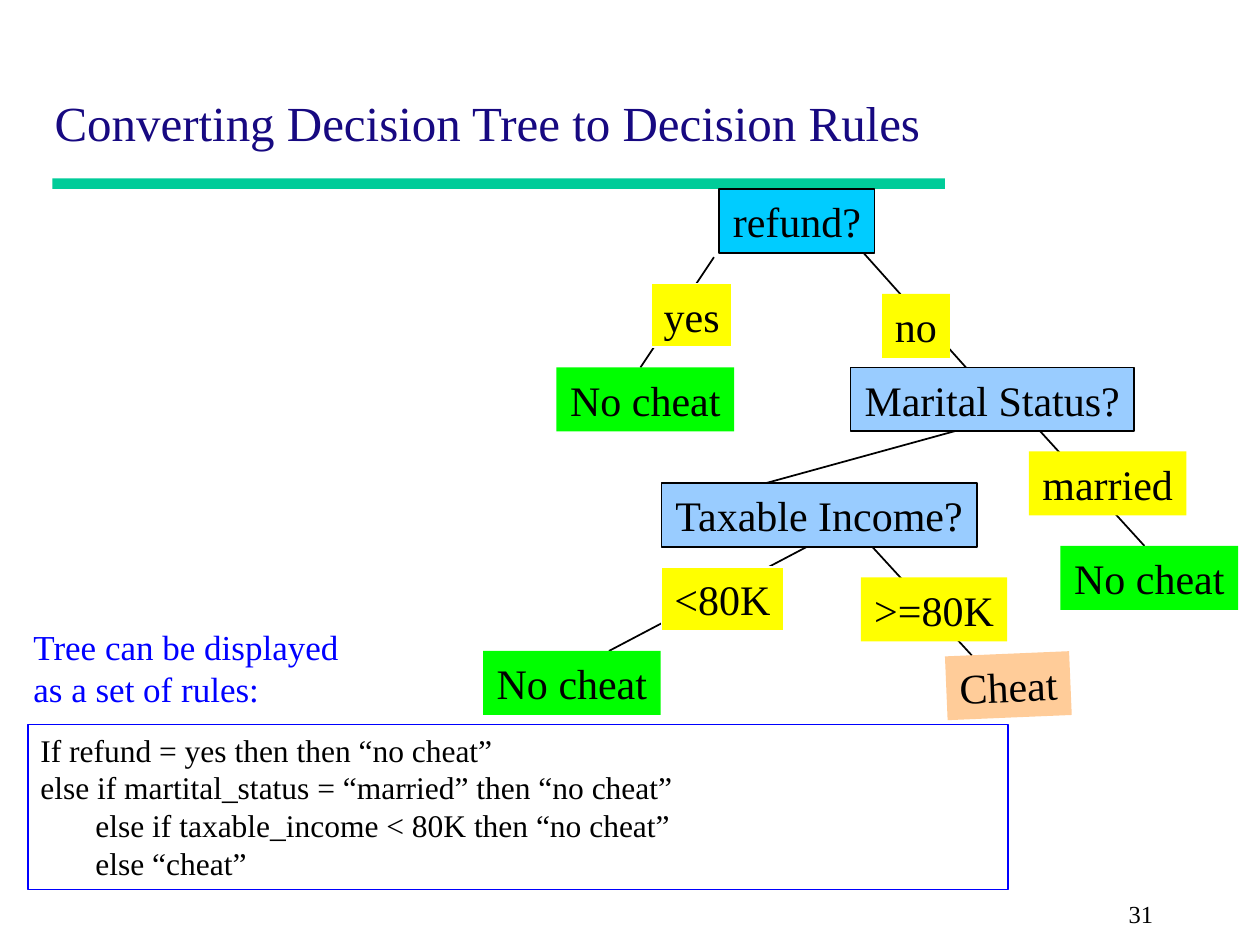
from pptx import Presentation
from pptx.dml.color import RGBColor
from pptx.enum.shapes import MSO_CONNECTOR, MSO_SHAPE
from pptx.enum.text import MSO_ANCHOR, PP_ALIGN
from pptx.oxml import parse_xml
from pptx.oxml.ns import nsdecls
from pptx.util import Pt

THEME = {
    "font": "Times New Roman",
    "sizes": {"title": 28, "node": 24, "caption": 20, "rules": 18, "page": 14},
    "colors": {"title": "170981", "bar": "00CC99", "text": "000000", "accent": "0000FF"},
    # kind of node: (fill, outline)
    "nodes": {
        "root": ("00CCFF", "000000"),
        "test": ("99CCFF", "000000"),
        "answer": ("FFFF00", None),
        "edged answer": ("FFFF00", "FFFFFF"),
        "no": ("00FF00", None),
        "yes": ("FFCC99", None),
    },
}

TITLE = "Converting Decision Tree to Decision Rules"
CAPTION = "Tree can be displayed as a set of rules:"
PAGE = "31"
# (indent level, rule)
RULES = [
    (0, "If refund = yes then then “no cheat”"),
    (0, "else if martital_status = “married” then “no cheat”"),
    (1, "else if taxable_income < 80K then “no cheat”"),
    (1, "else “cheat”"),
]
RULE_INDENT = 31.5

# (text, kind, left, top, width, rotation)
NODE_HEIGHT = 36.5
NODES = [
    ("refund?", "root", 411, 108, 88.8, 0),
    ("Marital Status?", "test", 486, 210, 162, 0),
    ("yes", "edged answer", 372, 162, 46.5, 0),
    ("no", "answer", 504, 168, 38.8, 0),
    ("No cheat", "no", 606, 312, 101.5, 0),
    ("Cheat", "yes", 540.7, 373.6, 71, -2.4),
    ("married", "answer", 588, 258, 90, 0),
    (">=80K", "answer", 492, 330, 83.5, 0),
    ("No cheat", "no", 318, 210, 101.5, 0),
    ("Taxable Income?", "test", 378, 276, 180.2, 0),
    ("No cheat", "no", 276, 372, 101.5, 0),
    ("<80K", "edged answer", 378, 324, 69.8, 0),
]
# (from x, from y, to x, to y)
BRANCHES = [
    (408, 147, 366, 210),
    (493, 144, 552, 210),
    (547, 246, 438, 276),
    (594, 246, 654, 312),
    (462, 312, 348, 372),
    (498, 312, 564, 384),
]


def rgb(code):
    return RGBColor.from_string(code)


def style(paragraph, role, color="text", align=PP_ALIGN.LEFT):
    paragraph.alignment = align
    font = paragraph.font
    font.name = THEME["font"]
    font.size = Pt(THEME["sizes"][role])
    font.color.rgb = rgb(THEME["colors"][color])


def add_box(slide, box, fill=None, outline=None, weight=1):
    shape = slide.shapes.add_shape(MSO_SHAPE.RECTANGLE, *map(Pt, box))
    shape.shadow.inherit = False
    if fill:
        shape.fill.solid()
        shape.fill.fore_color.rgb = rgb(fill)
    else:
        shape.fill.background()
    if outline:
        shape.line.color.rgb = rgb(outline)
        shape.line.width = Pt(weight)
    else:
        shape.line.fill.background()
    return shape


def add_label(slide, text, box, role, color="text", align=PP_ALIGN.LEFT):
    frame = slide.shapes.add_textbox(*map(Pt, box)).text_frame
    frame.word_wrap = True
    frame.text = text
    style(frame.paragraphs[0], role, color, align)


def add_branch(slide, ends):
    branch = slide.shapes.add_connector(MSO_CONNECTOR.STRAIGHT, *map(Pt, ends))
    branch.line.color.rgb = rgb(THEME["colors"]["text"])
    branch.line.width = Pt(1)
    branch._element.spPr.append(parse_xml(f"<a:effectLst {nsdecls('a')}/>"))


def add_node(slide, text, kind, left, top, width, rotation):
    node = add_box(slide, (left, top, width, NODE_HEIGHT), *THEME["nodes"][kind])
    node.rotation = rotation
    frame = node.text_frame
    frame.word_wrap = False
    frame.text = text
    style(frame.paragraphs[0], "node", align=PP_ALIGN.CENTER)


def add_rules(slide):
    frame = add_box(slide, (16, 414, 560, 94.5),
                    outline=THEME["colors"]["accent"], weight=0.75).text_frame
    frame.word_wrap = True
    frame.vertical_anchor = MSO_ANCHOR.TOP
    frame.text = "\n".join(rule for _, rule in RULES)
    for paragraph, (level, _) in zip(frame.paragraphs, RULES):
        style(paragraph, "rules")
        paragraph._p.get_or_add_pPr().set("marL", str(Pt(level * RULE_INDENT)))


def set_title(slide):
    title = slide.shapes.title
    title.left, title.top, title.width, title.height = map(Pt, (24, 42, 660, 48))
    title.text_frame.text = TITLE
    title.text_frame.vertical_anchor = MSO_ANCHOR.BOTTOM
    style(title.text_frame.paragraphs[0], "title", "title")


def main():
    deck = Presentation()
    deck.slide_width, deck.slide_height = Pt(720), Pt(540)
    slide = deck.slides.add_slide(deck.slide_layouts[5])
    set_title(slide)
    add_box(slide, (30, 102, 510, 6), THEME["colors"]["bar"])
    for ends in BRANCHES:
        add_branch(slide, ends)
    for node in NODES:
        add_node(slide, *node)
    add_label(slide, CAPTION, (12, 354, 198, 55.5), "caption", "accent")
    add_rules(slide)
    add_label(slide, PAGE, (522, 510, 144, 18), "page", align=PP_ALIGN.RIGHT)
    deck.save("out.pptx")


if __name__ == "__main__":
    main()
